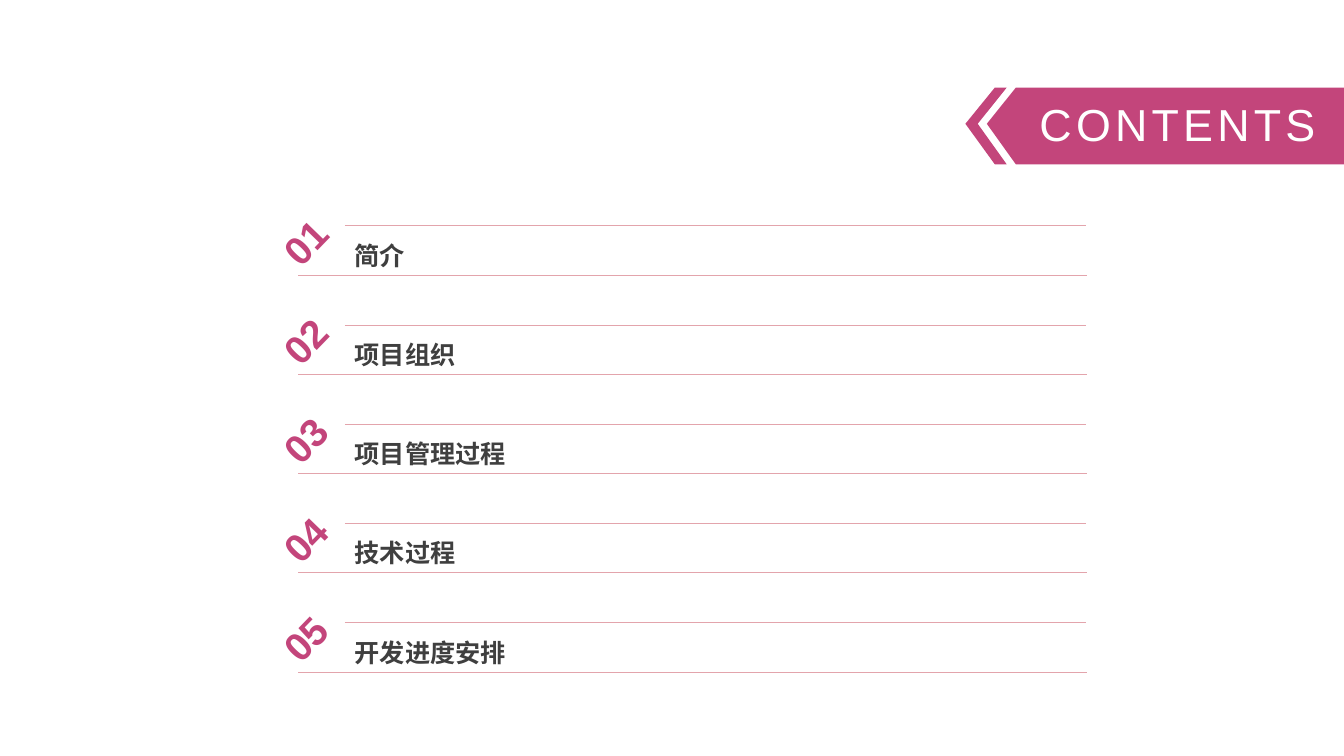
from pptx import Presentation
from pptx.dml.color import RGBColor
from pptx.enum.shapes import MSO_CONNECTOR
from pptx.enum.text import MSO_ANCHOR, MSO_AUTO_SIZE, PP_ALIGN
from pptx.oxml.ns import qn
from pptx.util import Cm, Pt
from lxml.etree import SubElement

HUES = {"pink": "C3457B", "rule": "E3A4AC", "ink": "3F3F3F", "white": "FFFFFF"}
TOPICS = ["简介", "项目组织", "项目管理过程", "技术过程", "开发进度安排"]
TOP, PITCH, HEIGHT = 5.69, 2.5, 1.24
HIGH, MID, LOW = 2.21, 3.12, 4.14
BANNER = [(25.6, HIGH), (33.87, HIGH), (33.87, LOW), (25.6, LOW), (24.87, MID)]
CHEVRON = [(25.07, HIGH), (25.37, HIGH), (24.64, MID),
           (25.37, LOW), (25.07, LOW), (24.33, MID)]


def tint(hue):
    return RGBColor.from_string(HUES[hue])


def place(shape, left, top, width, height):
    shape.left, shape.top = Cm(left), Cm(top)
    shape.width, shape.height = Cm(width), Cm(height)


def write(shape, text, size, hue, bold, align, anchor, insets):
    frame = shape.text_frame
    frame.word_wrap = True
    frame.auto_size = MSO_AUTO_SIZE.NONE
    frame.vertical_anchor = anchor
    (frame.margin_left, frame.margin_top,
     frame.margin_right, frame.margin_bottom) = [Cm(n) for n in insets]
    para = frame.paragraphs[0]
    para.alignment = align
    run = para.add_run()
    run.text = text
    font = run.font
    font.name, font.size, font.bold = "Arial", Pt(size), bold
    font.color.rgb = tint(hue)
    return para, run


def add_rule(slide, left, right, y):
    line = slide.shapes.add_connector(
        MSO_CONNECTOR.STRAIGHT, Cm(left), Cm(y), Cm(right), Cm(y))
    line.line.color.rgb = tint("rule")
    line.line.width = Pt(0.5)
    SubElement(line.element.spPr, qn("a:effectLst"))


def add_topic(slide, index, topic):
    top = TOP + index * PITCH
    add_rule(slide, 7.52, 27.4, top + HEIGHT)
    add_rule(slide, 8.69, 27.37, top)
    label = slide.shapes.add_textbox(Cm(6.6), Cm(top - 0.28), Cm(2.16), Cm(1.35))
    label.rotation = 314.1
    write(label, f"{index + 1:02}", 28, "pink", True,
          PP_ALIGN.CENTER, MSO_ANCHOR.MIDDLE, (0, 0, 0, 0))
    box = slide.shapes.add_textbox(Cm(8.18), Cm(top), Cm(18.31), Cm(HEIGHT))
    para, run = write(box, topic, 18, "ink", True, PP_ALIGN.LEFT,
                      MSO_ANCHOR.TOP, (0.76, 0.13, 0.25, 0.13))
    para.line_spacing = 1.3


def add_shard(slide, points):
    spots = [(Cm(x), Cm(y)) for x, y in points]
    pen = slide.shapes.build_freeform(*spots[0])
    pen.add_line_segments(spots[1:], close=True)
    shard = pen.convert_to_shape()
    shard.shadow.inherit = False
    shard.fill.solid()
    shard.fill.fore_color.rgb = tint("pink")
    shard.line.fill.background()


def set_title(slide, text):
    title = slide.shapes.title
    slide.shapes.element.append(title.element)
    place(title, 24.87, HIGH, 9, LOW - HIGH)
    para, run = write(title, text, 32, "white", False, PP_ALIGN.CENTER,
                      MSO_ANCHOR.MIDDLE, (0.61, 0, 0, 0.1))
    run.font._element.set("spc", "300")


def main():
    """Build the contents slide."""
    deck = Presentation()
    deck.slide_width, deck.slide_height = Cm(33.87), Cm(19.05)
    slide = deck.slides.add_slide(deck.slide_layouts[5])
    for index, topic in enumerate(TOPICS):
        add_topic(slide, index, topic)
    for points in (BANNER, CHEVRON):
        add_shard(slide, points)
    set_title(slide, "CONTENTS")
    deck.save("out.pptx")


if __name__ == "__main__":
    main()
